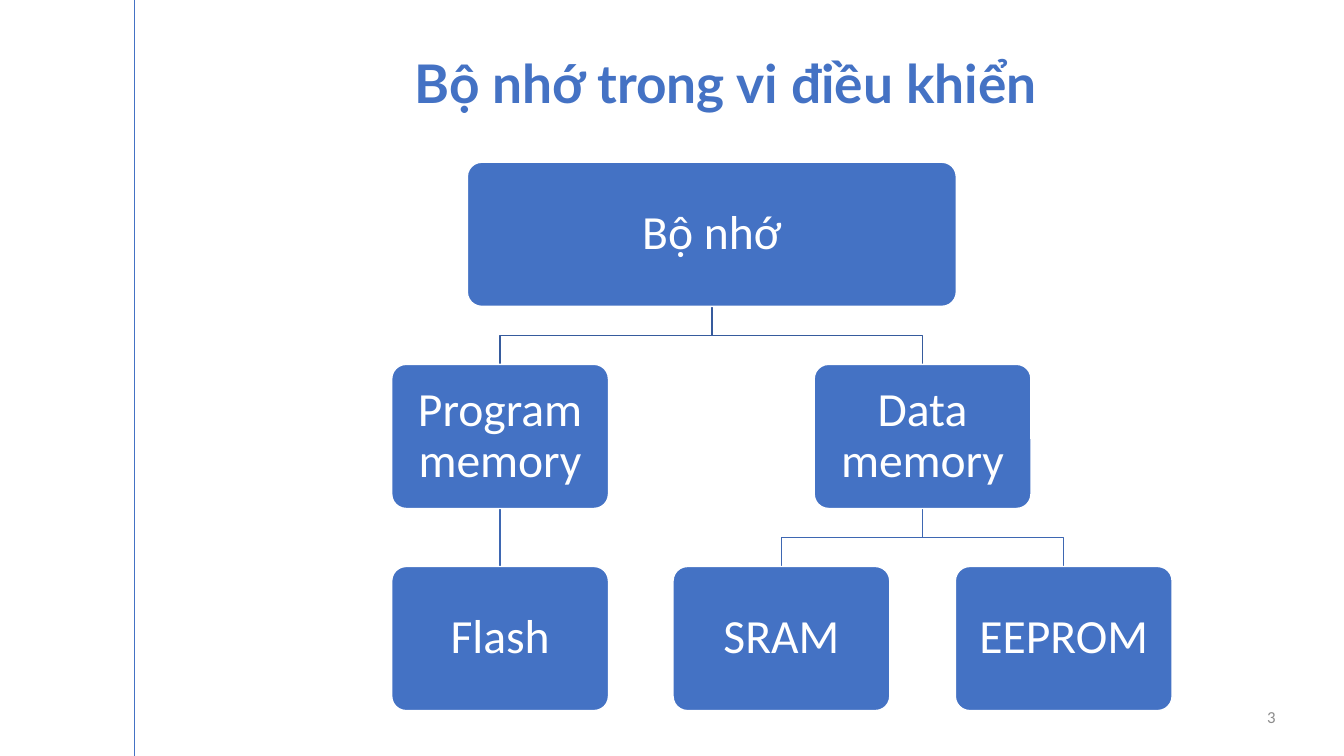
from lxml.etree import SubElement
from pptx import Presentation
from pptx.dml.color import RGBColor
from pptx.enum.shapes import MSO_CONNECTOR, MSO_SHAPE
from pptx.enum.text import MSO_ANCHOR, MSO_AUTO_SIZE, PP_ALIGN
from pptx.oxml.ns import qn
from pptx.util import Inches, Pt

TITLE = "Bộ nhớ trong vi điều khiển"
PAGE_NUMBER = "3"
# name: (label, level, centre x, width, parent)
NODES = {
    "memory": ("Bộ nhớ", 0, 7.06, 4.85, None),
    "program": ("Program memory", 1, 4.96, 2.15, "memory"),
    "data": ("Data memory", 1, 9.15, 2.15, "memory"),
    "flash": ("Flash", 2, 4.96, 2.15, "program"),
    "sram": ("SRAM", 2, 7.75, 2.15, "data"),
    "eeprom": ("EEPROM", 2, 10.55, 2.15, "data"),
}
COLORS = {"blue": "4472C4", "white": "FFFFFF", "gray": "8C8C8C"}
LINK_COLORS = {1: "365B9D", 2: "3E67B2"}
TREE_TOP, LEVEL_STEP, NODE_HEIGHT = 1.61, 2.005, 1.43


def color(value):
    """Turn a hex string into a colour."""
    return RGBColor.from_string(value)


def place(shape, left, top, width, height):
    """Set the position and size of a shape in inches."""
    shape.left, shape.top = Inches(left), Inches(top)
    shape.width, shape.height = Inches(width), Inches(height)


def add_text(frame, text, size, font, hex_color, align, bold=False):
    """Write one formatted run into the first paragraph of a frame."""
    para = frame.paragraphs[0]
    para.alignment = align
    span = para.add_run()
    span.text = text
    span.font.size, span.font.name, span.font.bold = Pt(size), font, bold
    span.font.color.rgb = color(hex_color)
    return para


def add_line(page, start, end, hex_color, width):
    """Draw a straight connector without a shadow."""
    line = page.shapes.add_connector(
        MSO_CONNECTOR.STRAIGHT, *[Inches(value) for value in start + end])
    line.line.color.rgb = color(hex_color)
    line.line.width = Pt(width)
    SubElement(line._element.spPr, qn("a:effectLst"))


def level_top(level):
    """Give the top edge of a tree level."""
    return TREE_TOP + level * LEVEL_STEP


def add_link(page, parent_x, child_x, level):
    """Join a node of this level to its parent, bending halfway."""
    end = level_top(level)
    start = level_top(level - 1) + NODE_HEIGHT
    if parent_x == child_x:
        add_line(page, (parent_x, start), (child_x, end), LINK_COLORS[level], 1)
        return
    middle = (start + end) / 2
    points = [(parent_x, middle), (child_x, middle), (child_x, end)]
    builder = page.shapes.build_freeform(
        Inches(parent_x), Inches(start), scale=1.0)
    builder.add_line_segments(
        [(Inches(x), Inches(y)) for x, y in points], close=False)
    link = builder.convert_to_shape()
    link.shadow.inherit = False
    link.fill.background()
    link.line.color.rgb = color(LINK_COLORS[level])
    link.line.width = Pt(1)


def add_node(page, label, level, center, width):
    """Draw a rounded box with its label."""
    box = page.shapes.add_shape(
        MSO_SHAPE.ROUNDED_RECTANGLE, Inches(center - width / 2),
        Inches(level_top(level)), Inches(width), Inches(NODE_HEIGHT))
    box.adjustments[0] = 0.1
    box.shadow.inherit = False
    box.fill.solid()
    box.fill.fore_color.rgb = color(COLORS["blue"])
    box.line.color.rgb = color(COLORS["white"])
    box.line.width = Pt(1)
    frame = box.text_frame
    frame.word_wrap = True
    frame.vertical_anchor = MSO_ANCHOR.MIDDLE
    frame.margin_left = frame.margin_right = Inches(0.14)
    frame.margin_top = frame.margin_bottom = Inches(0.14)
    para = add_text(frame, label, 34, "Calibri", COLORS["white"], PP_ALIGN.CENTER)
    para.line_spacing = 0.9


deck = Presentation()
deck.slide_width, deck.slide_height = Inches(13.33), Inches(7.5)
page = deck.slides.add_slide(deck.slide_layouts[5])

add_line(page, (1.33, 0), (1.33, 7.5), COLORS["blue"], 0.5)

title = page.shapes.title
place(title, 4.01, 0.45, 6.76, 0.74)
title.text_frame.auto_size = MSO_AUTO_SIZE.NONE
title.text_frame.vertical_anchor = MSO_ANCHOR.TOP
add_text(title.text_frame, TITLE, 38, "Lato", COLORS["blue"], PP_ALIGN.LEFT, True)

number = page.shapes.add_textbox(
    Inches(12.31), Inches(6.91), Inches(0.44), Inches(0.4))
number.text_frame.word_wrap = True
number.text_frame.vertical_anchor = MSO_ANCHOR.MIDDLE
add_text(number.text_frame, PAGE_NUMBER, 12, "Calibri", COLORS["gray"], PP_ALIGN.RIGHT)

for label, level, center, width, parent in NODES.values():
    if parent:
        add_link(page, NODES[parent][2], center, level)
for label, level, center, width, parent in NODES.values():
    add_node(page, label, level, center, width)

deck.save("out.pptx")
